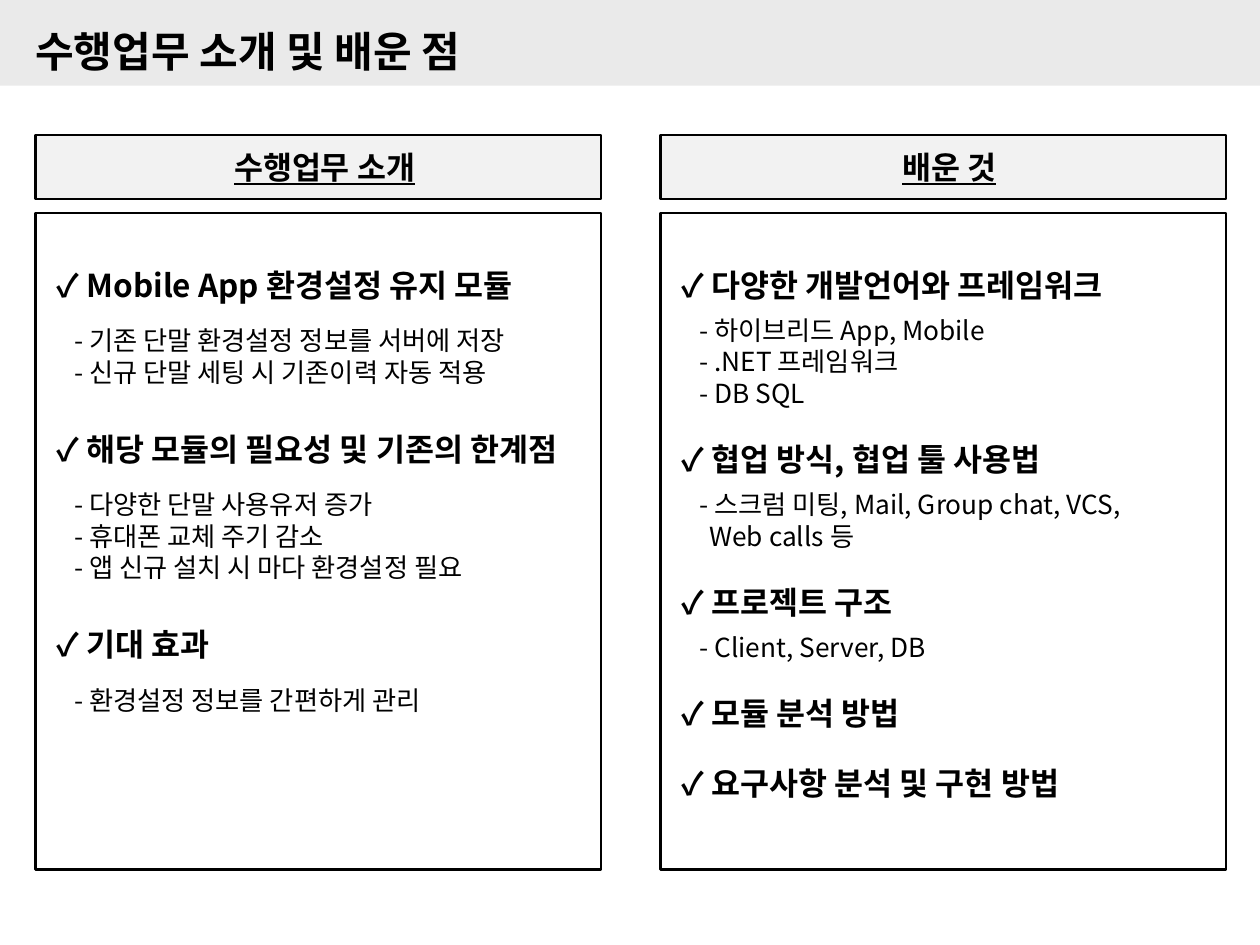
from lxml import etree
from pptx import Presentation
from pptx.dml.color import RGBColor
from pptx.enum import shapes, text
from pptx.oxml.ns import qn
from pptx.util import Inches, Pt

FONT = "Noto Sans CJK KR"
BLACK = RGBColor(0x00, 0x00, 0x00)
WHITE = RGBColor(0xFF, 0xFF, 0xFF)
BAND_GREY = RGBColor(0xEA, 0xEA, 0xEA)
HEADER_GREY = RGBColor(0xF2, 0xF2, 0xF2)
LINE_FACTOR = 1.2
COLUMN_WIDTH = 4.49

# left edge, header, gap above items, gap above next topic, topics with their items
COLUMNS = [
    (0.28, "수행업무 소개", 12, 24, [
        ("Mobile App 환경설정 유지 모듈",
         ["기존 단말 환경설정 정보를 서버에 저장", "신규 단말 세팅 시 기존이력 자동 적용"]),
        ("해당 모듈의 필요성 및 기존의 한계점",
         ["다양한 단말 사용유저 증가", "휴대폰 교체 주기 감소",
          "앱 신규 설치 시 마다 환경설정 필요"]),
        ("기대 효과", ["환경설정 정보를 간편하게 관리"]),
    ]),
    (5.24, "배운 것", 6, 18, [
        ("다양한 개발언어와 프레임워크",
         ["하이브리드 App, Mobile", ".NET 프레임워크", "DB SQL"]),
        ("협업 방식, 협업 툴 사용법",
         ["스크럼 미팅, Mail, Group chat, VCS,\vWeb calls 등"]),
        ("프로젝트 구조", ["Client, Server, DB"]),
        ("모듈 분석 방법", []),
        ("요구사항 분석 및 구현 방법", []),
    ]),
]


def write(paragraph, words, size, bold=True, underline=None, align=text.PP_ALIGN.LEFT,
          before=0, margin=0, indent=0, spacing=None):
    paragraph.text = words
    paragraph.alignment = align
    paragraph.space_before = Pt(before)
    paragraph.line_spacing = spacing
    properties = paragraph._p.get_or_add_pPr()
    properties.set("marL", str(Inches(margin)))
    properties.set("indent", str(Inches(indent)))
    for run in paragraph.runs:
        font = run.font
        font.name, font.size = FONT, Pt(size)
        font.bold, font.underline = bold, underline
        font.color.rgb = BLACK
        east_asian = etree.Element(qn("a:ea"), typeface=FONT)
        run._r.rPr.find(qn("a:latin")).addnext(east_asian)


def add_box(left, top, width, height, fill, outlined=True):
    box = slide.shapes.add_shape(shapes.MSO_SHAPE.RECTANGLE, Inches(left), Inches(top),
                                 Inches(width), Inches(height))
    box.shadow.inherit = False
    box.fill.solid()
    box.fill.fore_color.rgb = fill
    if outlined:
        box.line.color.rgb = BLACK
        box.line.width = Pt(1.5)
    else:
        box.line.fill.background()
    frame = box.text_frame
    frame.word_wrap = True
    frame.margin_right = Inches(0.1)
    return box


prs = Presentation()
prs.slide_width, prs.slide_height = Inches(10), Inches(7.5)
slide = prs.slides.add_slide(prs.slide_layouts[5])

band = add_box(0, 0, 10, 0.68, BAND_GREY, outlined=False)
slide.shapes._spTree.insert(2, band._element)  # behind the title

title = slide.shapes.title
title.left, title.top = Inches(0.28), Inches(0.2)
title.width, title.height = Inches(3.47), Inches(0.4)
heading = title.text_frame
heading.margin_left = heading.margin_right = heading.margin_top = heading.margin_bottom = 0
heading.vertical_anchor = text.MSO_ANCHOR.MIDDLE
heading.auto_size = text.MSO_AUTO_SIZE.NONE
heading.word_wrap = False
write(heading.paragraphs[0], "수행업무 소개 및 배운 점", 24)

for left, header, item_gap, topic_gap, topics in COLUMNS:
    header_frame = add_box(left, 1.07, COLUMN_WIDTH, 0.51, HEADER_GREY).text_frame
    header_frame.margin_left = Inches(0.2)
    header_frame.margin_top = header_frame.margin_bottom = 0
    header_frame.vertical_anchor = text.MSO_ANCHOR.MIDDLE
    write(header_frame.paragraphs[0], header, 18, underline=True,
          align=text.PP_ALIGN.CENTER)

    body = add_box(left, 1.69, COLUMN_WIDTH, 5.21, WHITE).text_frame
    body.margin_left, body.margin_top = Inches(0.12), Inches(0.42)
    body.vertical_anchor = text.MSO_ANCHOR.TOP
    for t, (topic, items) in enumerate(topics):
        paragraph = body.add_paragraph() if t else body.paragraphs[0]
        write(paragraph, f"✓ {topic}", 18, before=topic_gap if t else 0,
              margin=0.05, spacing=Pt(18 * LINE_FACTOR))
        for i, item in enumerate(items):
            write(body.add_paragraph(), f"- {item}", 15, bold=False,
                  before=0 if i else item_gap, margin=0.27, indent=-0.08,
                  spacing=Pt(15 * LINE_FACTOR))

prs.save("out.pptx")
